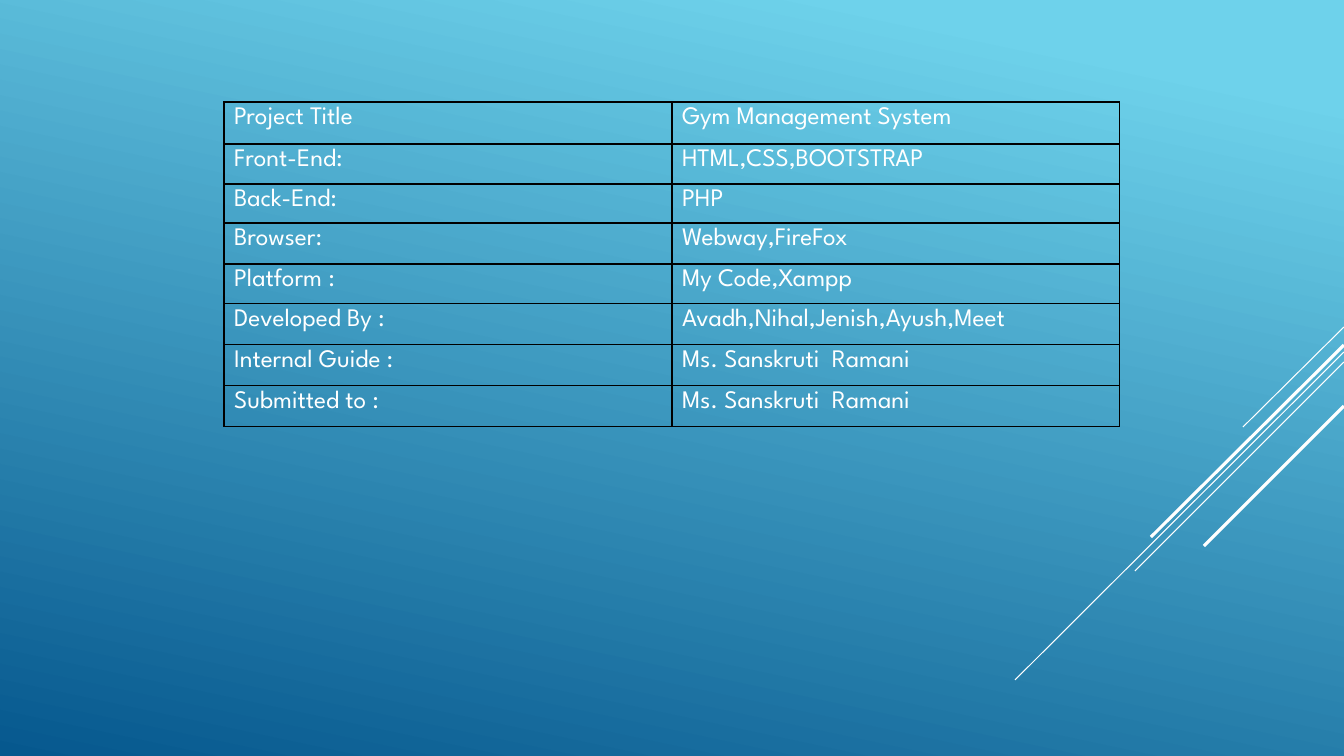
"""Build the project details slide: a two-column table over a blue gradient with diagonal lines."""
from dataclasses import dataclass

from lxml.etree import SubElement
from pptx import Presentation
from pptx.dml.color import RGBColor
from pptx.enum.shapes import MSO_CONNECTOR
from pptx.oxml.ns import qn
from pptx.slide import Slide
from pptx.table import _Cell
from pptx.util import Emu, Pt

FONT = "League Spartan"
WHITE = "FFFFFF"
BLACK = "000000"
SLIDE_W, SLIDE_H = 1344, 756
TABLE_X, TABLE_Y, COL_W = 224, 102, 448


@dataclass(frozen=True)
class Diagonal:
    right_y: int
    left_x: int
    left_y: int
    weight: float


@dataclass(frozen=True)
class Detail:
    label: str
    value: str
    height: int = 41


DIAGONALS = [
    Diagonal(327, 1243, 427, 0.75),
    Diagonal(352, 1015, 680, 0.75),
    Diagonal(362, 1135, 571, 0.75),
    Diagonal(345, 1151, 537, 2.25),
    Diagonal(406, 1204, 546, 2.25),
]

DETAILS = [
    Detail("Project Title", "Gym Management System", 42),
    Detail("Front-End:", "HTML,CSS,BOOTSTRAP", 40),
    Detail("Back-End:", "PHP", 39),
    Detail("Browser:", "Webway,FireFox"),
    Detail("Platform :", "My Code,Xampp", 40),
    Detail("Developed By :", "Avadh,Nihal,Jenish,Ayush,Meet"),
    Detail("Internal Guide :", "Ms. Sanskruti  Ramani"),
    Detail("Submitted to :", "Ms. Sanskruti  Ramani"),
]


def px(n: int) -> Emu:
    return Emu(round(n * 914400 / 100.8))


def rgb(value: str) -> RGBColor:
    return RGBColor.from_string(value)


def paint_background(s: Slide) -> None:
    fill = s.background.fill
    fill.gradient()
    fill.gradient_angle = 360 - 102
    stops = [(0.1, "6ED2EB"), (1, "06588E")]
    for stop, (position, color) in zip(fill.gradient_stops, stops):
        stop.position = position
        stop.color.rgb = rgb(color)


def draw_diagonal(s: Slide, d: Diagonal) -> None:
    line = s.shapes.add_connector(
        MSO_CONNECTOR.STRAIGHT, px(SLIDE_W), px(d.right_y), px(d.left_x), px(d.left_y)
    )
    line.line.color.rgb = rgb(WHITE)
    line.line.width = Pt(d.weight)
    SubElement(line._element.spPr, qn("a:effectLst"))


def add_borders(cell: _Cell) -> None:
    tc_pr = cell._tc.get_or_add_tcPr()
    for side in ("lnL", "lnR", "lnT", "lnB"):
        border = SubElement(tc_pr, qn(f"a:{side}"), w=str(Pt(1)))
        fill = SubElement(border, qn("a:solidFill"))
        SubElement(fill, qn("a:srgbClr"), val=BLACK)


def fill_cell(cell: _Cell, text: str) -> None:
    add_borders(cell)
    cell.fill.background()
    r = cell.text_frame.paragraphs[0].add_run()
    r.text = text
    r.font.name = FONT
    r.font.size = Pt(18)
    r.font.color.rgb = rgb(WHITE)


def draw_table(s: Slide, details: list[Detail]) -> None:
    height = sum(d.height for d in details)
    table = s.shapes.add_table(
        len(details), 2, px(TABLE_X), px(TABLE_Y), px(2 * COL_W), px(height)
    ).table
    table.first_row = False
    table.horz_banding = False
    for column in table.columns:
        column.width = px(COL_W)
    for i, d in enumerate(details):
        table.rows[i].height = px(d.height)
        fill_cell(table.cell(i, 0), d.label)
        fill_cell(table.cell(i, 1), d.value)


def main() -> None:
    prs = Presentation()
    prs.slide_width, prs.slide_height = px(SLIDE_W), px(SLIDE_H)
    s = prs.slides.add_slide(prs.slide_layouts[6])
    paint_background(s)
    for d in DIAGONALS:
        draw_diagonal(s, d)
    draw_table(s, DETAILS)
    prs.save("out.pptx")


if __name__ == "__main__":
    main()
